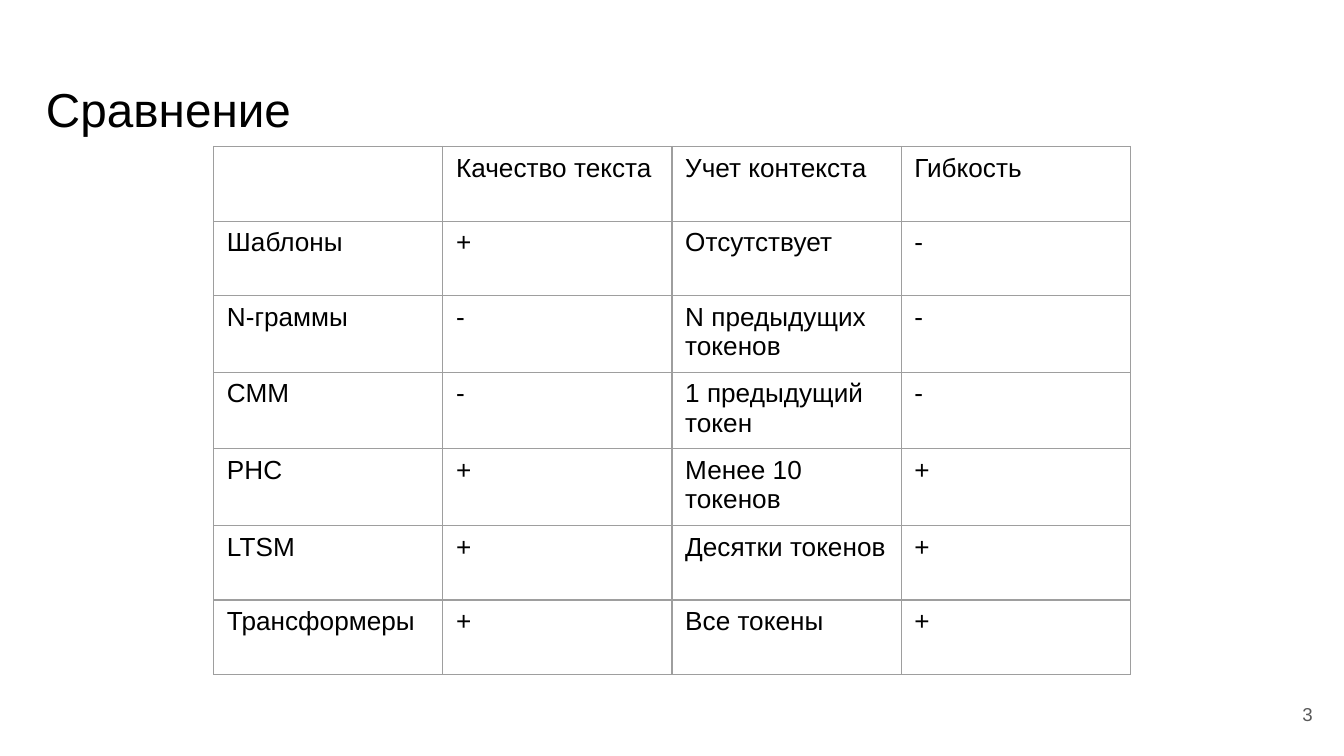
from dataclasses import dataclass

from lxml.etree import SubElement
from pptx import Presentation
from pptx.dml.color import RGBColor
from pptx.enum.text import MSO_ANCHOR as Anchor, PP_ALIGN as Align
from pptx.oxml.ns import qn
from pptx.util import Cm, Pt


@dataclass(frozen=True)
class Theme:
    font: str = "Arial"
    ink: str = "000000"
    muted: str = "595959"
    rule: str = "9E9E9E"
    rule_width: float = 0.75
    title_size: float = 25.5
    body_size: float = 14
    number_size: float = 10


class Builder:
    def __init__(self, page, theme):
        self.page = page
        self.theme = theme

    def add_span(self, para, text, size, color):
        span = para.add_run()
        span.text = text
        span.font.name = self.theme.font
        span.font.size = Pt(size)
        span.font.color.rgb = RGBColor.from_string(color)

    def add_text(self, text, place, size, color, anchor, align=Align.LEFT, side=0.25):
        box = self.page.shapes.add_textbox(*map(Cm, place))
        frame = box.text_frame
        frame.word_wrap = True
        frame.vertical_anchor = anchor
        frame.margin_left = frame.margin_right = Cm(side)
        frame.margin_top = frame.margin_bottom = Cm(0.25)
        para = frame.paragraphs[0]
        para.alignment = align
        self.add_span(para, text, size, color)

    def add_border(self, cell):
        props = cell._tc.get_or_add_tcPr()
        for position, side in enumerate(("a:lnL", "a:lnR", "a:lnT", "a:lnB")):
            line = props.makeelement(qn(side), {"w": str(Pt(self.theme.rule_width))})
            fill = SubElement(line, qn("a:solidFill"))
            SubElement(fill, qn("a:srgbClr"), val=self.theme.rule)
            props.insert(position, line)

    def add_table(self, rows, left, top, column_width, row_height):
        count = len(rows[0])
        table = self.page.shapes.add_table(
            len(rows), count, Cm(left), Cm(top),
            Cm(column_width * count), Cm(row_height * len(rows))).table
        table.first_row = table.horz_banding = False
        for column in table.columns:
            column.width = Cm(column_width)
        for row, texts in zip(table.rows, rows):
            row.height = Cm(row_height)
            for cell, text in zip(row.cells, texts):
                cell.fill.background()
                cell.margin_left = cell.margin_right = Cm(0.25)
                cell.margin_top = cell.margin_bottom = Cm(0.13)
                self.add_border(cell)
                if text:
                    self.add_span(cell.text_frame.paragraphs[0], text,
                                  self.theme.body_size, self.theme.ink)


ROWS = [
    ("", "Качество текста", "Учет контекста", "Гибкость"),
    ("Шаблоны", "+", "Отсутствует", "-"),
    ("N-граммы", "-", "N предыдущих токенов", "-"),
    ("СММ", "-", "1 предыдущий токен", "-"),
    ("РНС", "+", "Менее 10 токенов", "+"),
    ("LTSM", "+", "Десятки токенов", "+"),
    ("Трансформеры", "+", "Все токены", "+"),
]


def main():
    deck = Presentation()
    deck.slide_width, deck.slide_height = Cm(25.4), Cm(14.29)
    theme = Theme()
    builder = Builder(deck.slides.add_slide(deck.slide_layouts[6]), theme)

    # Title
    builder.add_text("Сравнение", (0.87, 1.24, 23.67, 1.6), theme.title_size,
                     theme.ink, Anchor.BOTTOM, side=0)

    # Comparison table
    builder.add_table(ROWS, left=4.04, top=2.77, column_width=4.33, row_height=1.41)

    # Slide number
    builder.add_text("3", (23.54, 12.95, 1.52, 1.09), theme.number_size,
                     theme.muted, Anchor.MIDDLE, Align.RIGHT)

    deck.save("out.pptx")


if __name__ == "__main__":
    main()
